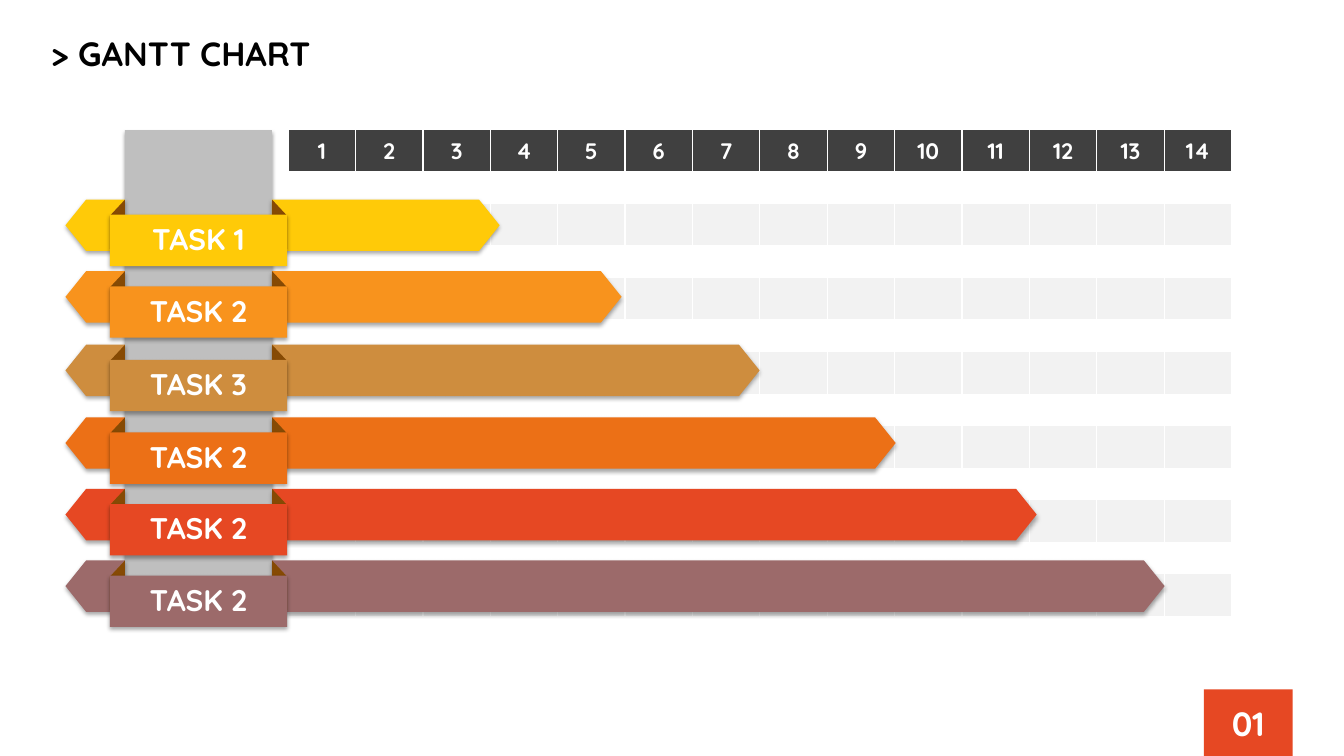
from lxml import etree
from pptx import Presentation
from pptx.dml.color import RGBColor
from pptx.enum.shapes import MSO_SHAPE
from pptx.enum.text import MSO_ANCHOR, PP_ALIGN
from pptx.oxml import parse_xml
from pptx.oxml.ns import nsdecls, qn
from pptx.util import Inches, Pt

RECT = MSO_SHAPE.RECTANGLE
ARROW = MSO_SHAPE.PENTAGON
FOLD = MSO_SHAPE.PARALLELOGRAM
LEFT, CENTER = PP_ALIGN.LEFT, PP_ALIGN.CENTER
TOP, MIDDLE = MSO_ANCHOR.TOP, MSO_ANCHOR.MIDDLE

COLORS = {
    "black": "000000", "white": "FFFFFF", "dark": "404040",
    "pale": "F2F2F2", "gray": "BFBFBF", "fold": "864A04",
    "yellow": "FFCA08", "amber": "F8931D", "tan": "CE8D3E",
    "orange": "EC7016", "red": "E64823", "mauve": "9C6A6A",
}
SHADOW = (
    f'<a:effectLst {nsdecls("a")}><a:outerShdw blurRad="39370" dist="22860" '
    'dir="5400000" algn="t" rotWithShape="0"><a:srgbClr val="000000">'
    '<a:alpha val="35000"/></a:srgbClr></a:outerShdw></a:effectLst>'
)


def write(frame, text, size=24, color="white", align=CENTER, anchor=TOP, gap=0):
    frame.word_wrap = True
    frame.vertical_anchor = anchor
    para = frame.paragraphs[0]
    para.alignment = align
    para.space_before = Pt(gap)
    run = para.add_run()
    run.text = text
    run.font.name = "Quicksand"
    run.font.size = Pt(size)
    run.font.bold = True
    run.font.color.rgb = RGBColor.from_string(COLORS[color])


def block(home, kind, box, color, shade=True, adj=None, turn=0, flip=False):
    shape = home.shapes.add_shape(kind, *map(Inches, box))
    shape.fill.solid()
    shape.fill.fore_color.rgb = RGBColor.from_string(COLORS[color])
    shape.line.fill.background()
    shape.rotation = turn
    if adj:
        shape.adjustments[0] = adj
    props = shape.element.spPr
    if flip:
        props.find(qn("a:xfrm")).set("flipH", "1")
    if shade:
        props.append(parse_xml(SHADOW))
    else:
        shape.shadow.inherit = False
    return shape


deck = Presentation()
deck.slide_width, deck.slide_height = Inches(13.34), Inches(7.5)
slide = deck.slides.add_slide(deck.slide_layouts[6])

title = slide.shapes.add_textbox(Inches(0.41), Inches(0.28), Inches(5.32), Inches(0.58))
write(title.text_frame, "> GANTT CHART", color="black", align=LEFT)
page = block(slide, RECT, (11.95, 6.84, 0.88, 0.67), "red", shade=False)
write(page.text_frame, "01", anchor=MIDDLE, gap=4.8)
block(slide, RECT, (1.24, 1.29, 1.46, 4.67), "gray")

ROWS, COLS = 13, 14
WIDTH, HEIGHT, BAND = 9.37, 4.82, 0.41
GAP = (HEIGHT - 7 * BAND) / 6
grid = slide.shapes.add_table(
    ROWS, COLS, Inches(2.86), Inches(1.29), Inches(WIDTH), Inches(HEIGHT)
).table
grid.first_row = grid.horz_banding = False
for col in grid.columns:
    col.width = Inches(WIDTH / COLS)
for r, row in enumerate(grid.rows):
    row.height = Inches(GAP if r % 2 else BAND)
    tint = "white" if r % 2 else "pale" if r else "dark"
    for c, cell in enumerate(row.cells):
        cell.margin_left = cell.margin_right = Inches(0.13)
        cell.margin_top = cell.margin_bottom = Inches(0.07)
        cell.vertical_anchor = MIDDLE
        props = cell._tc.get_or_add_tcPr()
        for side in ("a:lnL", "a:lnR"):
            line = etree.SubElement(props, qn(side), w="12700")
            paint = etree.SubElement(line, qn("a:solidFill"))
            etree.SubElement(paint, qn("a:srgbClr"), val=COLORS["white"])
        for side in ("a:lnT", "a:lnB"):
            line = etree.SubElement(props, qn(side), w="0")
            etree.SubElement(line, qn("a:noFill"))
        cell.fill.solid()
        cell.fill.fore_color.rgb = RGBColor.from_string(COLORS[tint])
        if r == 0:
            write(cell.text_frame, str(c + 1), size=16, anchor=MIDDLE)
        else:
            para = cell.text_frame.paragraphs[0]
            etree.SubElement(para._p, qn("a:endParaRPr"), sz="800")

TASKS = [
    ("TASK 1", 1.98, 2.26, "yellow"),
    ("TASK 2", 2.69, 3.47, "amber"),
    ("TASK 3", 3.42, 4.84, "tan"),
    ("TASK 2", 4.14, 6.19, "orange"),
    ("TASK 2", 4.85, 7.59, "red"),
    ("TASK 2", 5.56, 8.86, "mauve"),
]
for name, top, span, color in TASKS:
    block(slide, ARROW, (2.7, top, span, 0.51), color, adj=0.402)
    tag = slide.shapes.add_group_shape()
    block(tag, ARROW, (0.65, top, 0.59, 0.51), color, adj=0.402, flip=True)
    for left, turn in ((0.92, 270), (2.53, 90)):
        block(tag, FOLD, (left, top + 0.17, 0.49, 0.15), "fold", shade=False,
              adj=1.071, turn=turn, flip=turn == 270)
    block(tag, RECT, (1.09, top + 0.15, 1.76, 0.51), color)
    label = tag.shapes.add_textbox(Inches(1.24), Inches(top + 0.16), Inches(1.46), Inches(0.46))
    write(label.text_frame, name, size=21.3)

deck.save("out.pptx")
